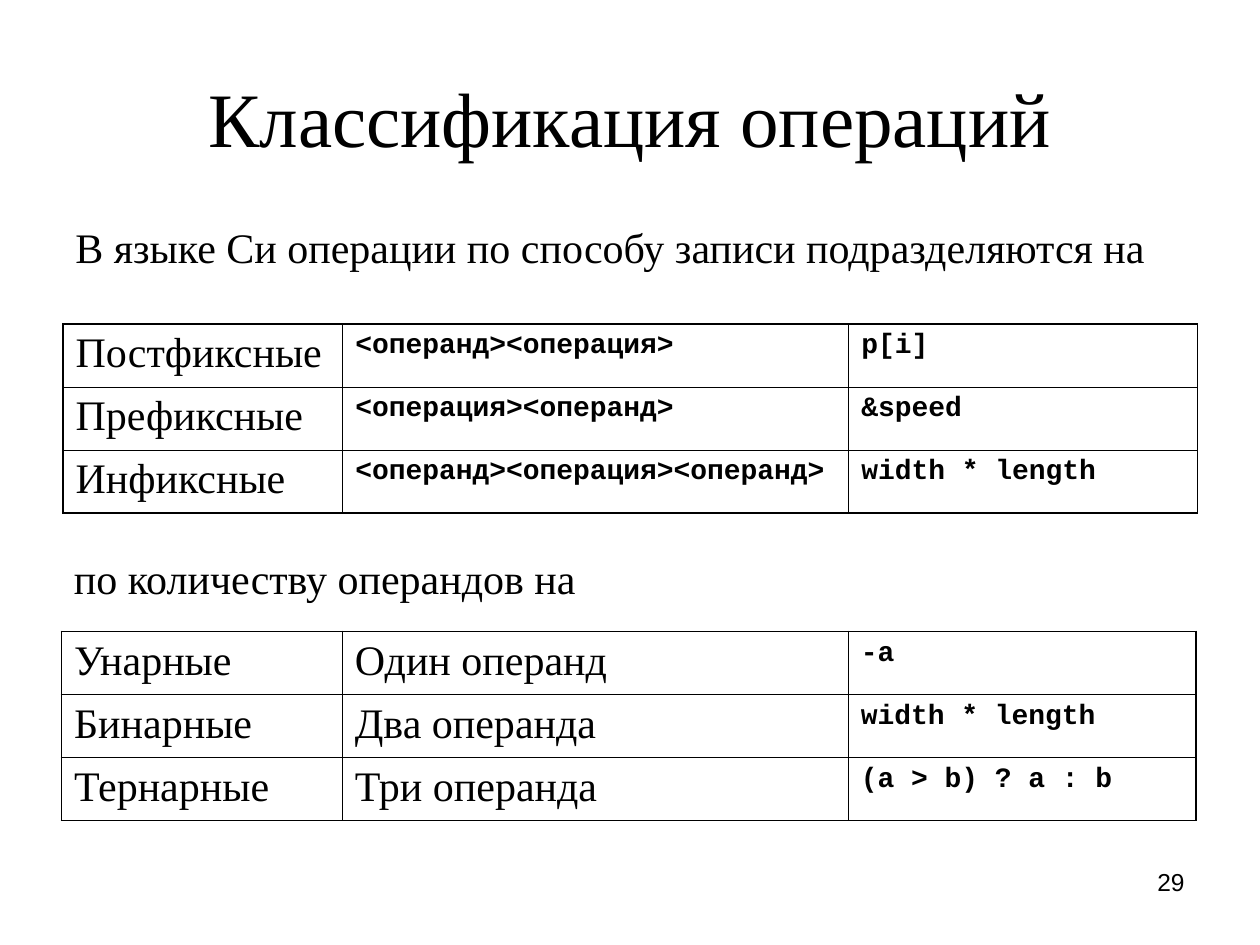
"""Build a slide that classifies the operations of the C language."""
from dataclasses import dataclass

from lxml import etree
from pptx import Presentation
from pptx import util as u
from pptx.dml.color import RGBColor
from pptx.enum import text
from pptx.oxml import ns

BLACK = RGBColor(0x00, 0x00, 0x00)
SERIF, MONO, SANS = "Times New Roman", "Courier New", "Arial"
WIDTH, ROW_HEIGHT = 22.86, 1.26
OUTER, INNER = u.Pt(1.08), u.Pt(0.45)


@dataclass(frozen=True)
class Style:
    font: str
    size: int
    bold: bool = False
    before: int = 0
    spacing: float = 1.0
    align: text.PP_ALIGN = text.PP_ALIGN.LEFT
    hanging: float = 0


@dataclass(frozen=True)
class Label:
    words: str
    left: float
    top: float
    width: float
    height: float
    style: Style
    anchor: text.MSO_ANCHOR = text.MSO_ANCHOR.TOP


@dataclass(frozen=True)
class Grid:
    left: float
    top: float
    columns: tuple[float, ...]
    styles: tuple[Style, ...]
    rows: tuple[tuple[str, ...], ...]


TITLE = Style(SERIF, 44, align=text.PP_ALIGN.CENTER)
LEAD = Style(SERIF, 24, before=6, spacing=0.9, hanging=0.95)
TERM = Style(SERIF, 24, before=6)
CODE = Style(MONO, 16, bold=True, before=4)
NUMBER = Style(SANS, 14, align=text.PP_ALIGN.RIGHT)

LABELS = (
    Label("Классификация операций", 1.27, 0.76, WIDTH, 3.18, TITLE, text.MSO_ANCHOR.MIDDLE),
    Label("В языке Си операции по способу записи подразделяются на",
          1.27, 4.45, WIDTH, 1.27, LEAD),
    Label("по количеству операндов на", 1.24, 11.13, WIDTH, 1.27, LEAD),
    Label("29", 18.21, 17.35, 5.92, 1.32, NUMBER),
)

GRIDS = (
    Grid(1.27, 6.53, (5.64, 10.2, 7.03), (TERM, CODE, CODE), (
        ("Постфиксные", "<операнд><операция>", "p[i]"),
        ("Префиксные", "<операция><операнд>", "&speed"),
        ("Инфиксные", "<операнд><операция><операнд>", "width * length"),
    )),
    Grid(1.24, 12.73, (5.66, 10.2, 7.01), (TERM, TERM, CODE), (
        ("Унарные", "Один операнд", "-a"),
        ("Бинарные", "Два операнда", "width * length"),
        ("Тернарные", "Три операнда", "(a > b) ? a : b"),
    )),
)


def write(tf, words: str, style: Style) -> None:
    p = tf.paragraphs[0]
    p.text = words
    p.alignment = style.align
    p.space_before = u.Pt(style.before)
    p.line_spacing = style.spacing
    p.font.name = style.font
    p.font.size = u.Pt(style.size)
    p.font.bold = style.bold
    p.font.color.rgb = BLACK
    if style.hanging:
        pPr = p._p.get_or_add_pPr()
        pPr.set("marL", str(u.Cm(style.hanging)))
        pPr.set("indent", str(-u.Cm(style.hanging)))


def add_label(slide, label: Label) -> None:
    box = (label.left, label.top, label.width, label.height)
    tf = slide.shapes.add_textbox(*map(u.Cm, box)).text_frame
    tf.word_wrap = True
    tf.vertical_anchor = label.anchor
    write(tf, label.words, label.style)


def add_border(cell, side: str, width: int) -> None:
    ln = etree.SubElement(cell._tc.get_or_add_tcPr(), ns.qn(f"a:ln{side}"), w=str(width))
    fill = etree.SubElement(ln, ns.qn("a:solidFill"))
    etree.SubElement(fill, ns.qn("a:srgbClr"), val=str(BLACK))


def add_grid(slide, grid: Grid) -> None:
    n_rows, n_cols = len(grid.rows), len(grid.columns)
    box = (grid.left, grid.top, sum(grid.columns), n_rows * ROW_HEIGHT)
    table = slide.shapes.add_table(n_rows, n_cols, *map(u.Cm, box)).table
    table.first_row = table.horz_banding = False
    for column, width in zip(table.columns, grid.columns):
        column.width = u.Cm(width)
    for i, row in enumerate(grid.rows):
        table.rows[i].height = u.Cm(ROW_HEIGHT)
        for j, (words, style) in enumerate(zip(row, grid.styles)):
            cell = table.cell(i, j)
            write(cell.text_frame, words, style)
            edges = {"L": j == 0, "R": j == n_cols - 1, "T": i == 0, "B": i == n_rows - 1}
            for side, outer in edges.items():
                add_border(cell, side, OUTER if outer else INNER)
            cell.fill.background()


def main() -> None:
    prs = Presentation()
    prs.slide_width, prs.slide_height = u.Cm(25.4), u.Cm(19.05)
    s = prs.slides.add_slide(prs.slide_layouts[6])
    for label in LABELS:
        add_label(s, label)
    for grid in GRIDS:
        add_grid(s, grid)
    prs.save("out.pptx")


if __name__ == "__main__":
    main()
